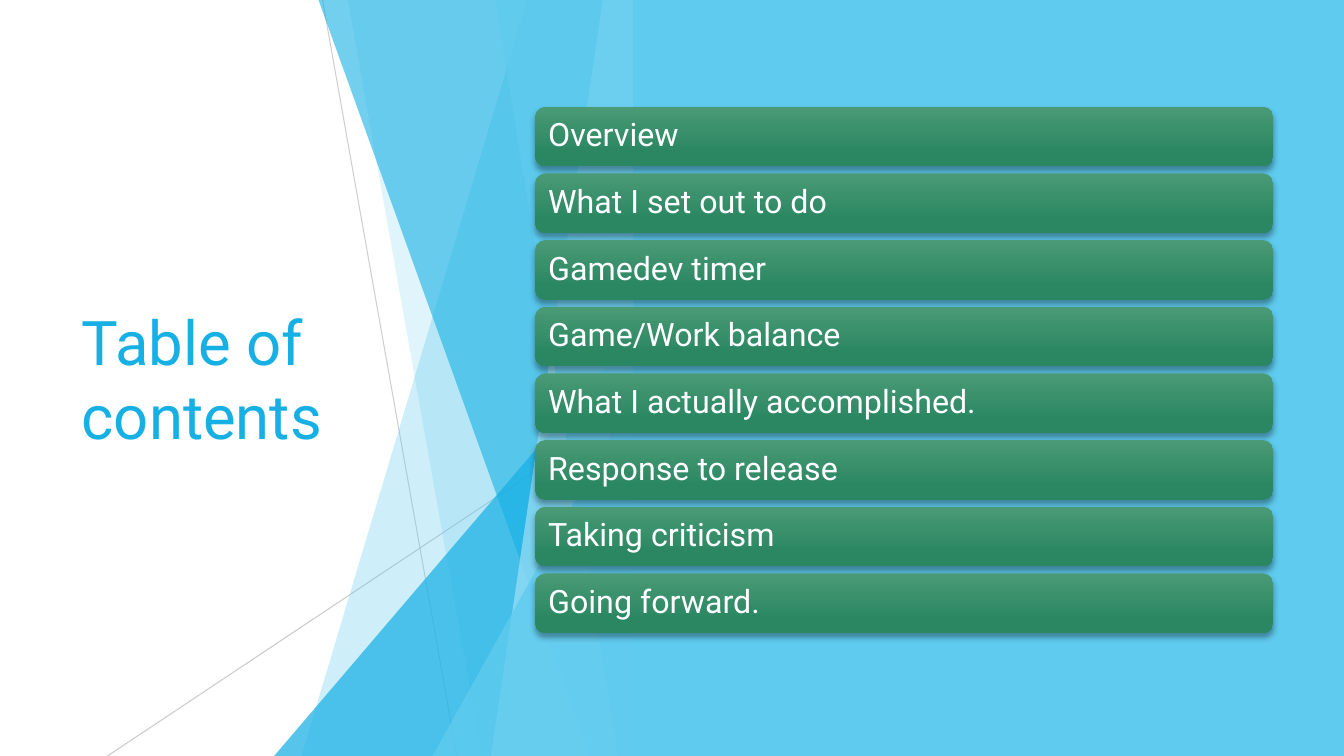
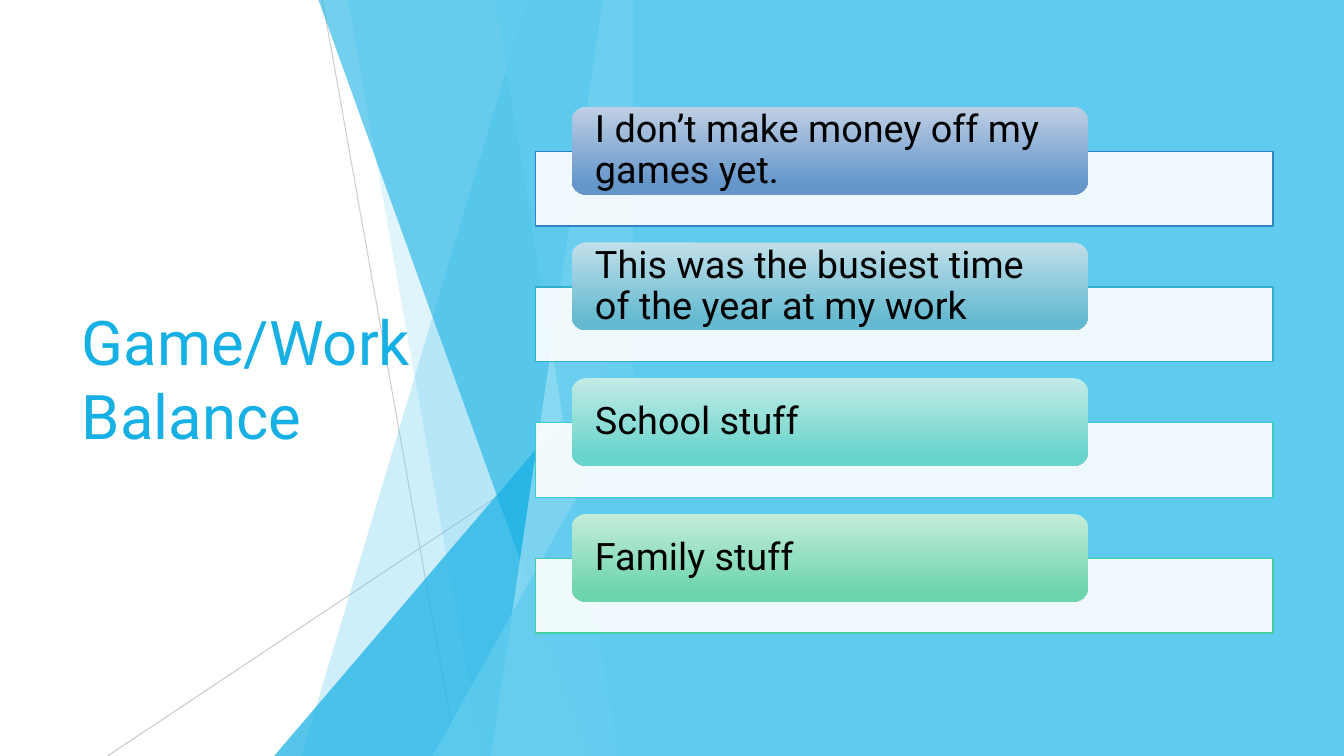
from dataclasses import dataclass

from lxml.etree import SubElement
from pptx import Presentation
from pptx.dml.color import RGBColor
from pptx.enum.shapes import MSO_CONNECTOR as Connector, MSO_SHAPE as Preset
from pptx.enum.text import MSO_ANCHOR as Anchor, MSO_AUTO_SIZE as AutoSize, PP_ALIGN as Align
from pptx.oxml.ns import qn
from pptx.util import Inches, Pt


@dataclass(frozen=True)
class Theme:
    font: str = "Roboto"
    title_size: int = 44
    bar_size: int = 23
    tag_size: int = 27
    accent: str = "17B0E4"
    sky: str = "5FCBEF"
    pale: str = "9FE0F5"
    hairline: str = "BFBFBF"
    white: str = "FFFFFF"
    black: str = "000000"
    bar_gradient: tuple = ("4A9A76", "2A8762", 78)
    tag_colors: tuple = (
        ("2E83C3", "BFCFE5", "6596CA"),
        ("31B0CB", "C1DFE9", "65BAD1"),
        ("39CEC4", "C3EBE7", "68D4CB"),
        ("42D0A2", "C5ECDB", "6DD5AE"),
    )


@dataclass(frozen=True)
class Box:
    left: int
    top: int
    width: int
    height: int

    def point(self, x, y):
        return round(self.left + self.width * x / 100), round(self.top + self.height * y / 100)

    def share(self, x, y, width, height):
        return Box(*self.point(x, y), round(self.width * width / 100), round(self.height * height / 100))

    def rows(self, count, gap):
        height = 100 / (count + (count - 1) * gap)
        return [self.share(0, index * height * (1 + gap), 100, height) for index in range(count)]

    @property
    def frame(self):
        return self.left, self.top, self.width, self.height


THEME = Theme()
PANEL_EDGE = 47.1
TITLE_AREA = (5.33, 20.13, 29.1, 59.73)
LIST_AREA = (39.83, 14.13, 54.9, 69.6)


def set_alpha(properties, percent):
    color = properties.find(qn("a:solidFill"))[0]
    SubElement(color, qn("a:alpha"), val=str(percent * 1000))


def paint(shape, color, alpha=100):
    shape.shadow.inherit = False
    shape.fill.solid()
    shape.fill.fore_color.rgb = RGBColor.from_string(color)
    shape.line.fill.background()
    if alpha < 100:
        set_alpha(shape.element.spPr, alpha)


def paint_gradient(shape, top_color, bottom_color, end):
    shape.shadow.inherit = False
    shape.fill.gradient()
    shape.fill.gradient_angle = 270
    stops = zip(shape.fill.gradient_stops, (top_color, bottom_color), (0, end / 100))
    for stop, color, position in stops:
        stop.color.rgb = RGBColor.from_string(color)
        stop.position = position
    shape.line.fill.background()


def add_drop_shadow(shape):
    effects = shape.element.spPr.find(qn("a:effectLst"))
    shadow = SubElement(effects, qn("a:outerShdw"), blurRad=str(Pt(4)), dist=str(Pt(3)),
                        dir="5400000", rotWithShape="0")
    color = SubElement(shadow, qn("a:srgbClr"), val=THEME.black)
    SubElement(color, qn("a:alpha"), val="35000")


def write(shape, text, size, color, inset):
    frame = shape.text_frame
    frame.word_wrap = True
    frame.auto_size = AutoSize.NONE
    frame.vertical_anchor = Anchor.MIDDLE
    frame.margin_left = frame.margin_right = Inches(inset)
    frame.margin_top = frame.margin_bottom = 0
    frame.text = text
    paragraph = frame.paragraphs[0]
    paragraph.alignment = Align.LEFT
    paragraph.font.name = THEME.font
    paragraph.font.size = Pt(size)
    paragraph.font.color.rgb = RGBColor.from_string(color)
    return paragraph


def add_hairline(shapes, box, start, end, alpha):
    line = shapes.add_connector(Connector.STRAIGHT, *box.point(*start), *box.point(*end))
    line.line.width = Pt(0.75)
    line.line.color.rgb = RGBColor.from_string(THEME.hairline)
    properties = line.element.spPr
    set_alpha(properties.find(qn("a:ln")), alpha)
    SubElement(properties, qn("a:effectLst"))


def add_facet(shapes, box, top_x, bottom_x, color, alpha):
    builder = shapes.build_freeform(*box.point(top_x, 0))
    corners = ((PANEL_EDGE, 0), (PANEL_EDGE, 100), (bottom_x, 100))
    builder.add_line_segments([box.point(*corner) for corner in corners])
    paint(builder.convert_to_shape(), color, alpha)


def add_wedge(shapes, box, left, top, color, alpha):
    area = box.share(left, top, PANEL_EDGE - left, 100 - top)
    wedge = shapes.add_shape(Preset.ISOSCELES_TRIANGLE, *area.frame)
    wedge.adjustments[0] = 1
    paint(wedge, color, alpha)


def add_backdrop(slide, box):
    shapes = slide.shapes.add_group_shape().shapes
    add_hairline(shapes, box, (24, 0), (34, 100), 75)
    add_hairline(shapes, box, (PANEL_EDGE, 53.73), (8, 100), 80)
    pieces = (
        (add_facet, 39.23, 22.43, THEME.sky, 30),
        (add_facet, 25.88, 35.85, THEME.sky, 20),
        (add_wedge, 20.4, 44.4, THEME.accent, 72),
        (add_facet, 23.7, 43.95, THEME.accent, 60),
        (add_facet, 44.85, 36.53, THEME.pale, 70),
        (add_facet, 36.83, 45.98, THEME.sky, 65),
        (add_wedge, 32.18, 52.4, THEME.sky, 80),
    )
    for add_piece, first, second, color, alpha in pieces:
        add_piece(shapes, box, first, second, color, alpha)


def place_title(slide, box, text):
    title = slide.shapes.title
    title.left, title.top, title.width, title.height = box.frame
    write(title, text, THEME.title_size, THEME.accent, 0.1)
    title.element.getparent().append(title.element)


def add_split_slide(presentation, title):
    slide = presentation.slides.add_slide(presentation.slide_layouts[5])
    page = Box(0, 0, presentation.slide_width, presentation.slide_height)
    add_backdrop(slide, page)
    place_title(slide, page.share(*TITLE_AREA), title)
    panel = page.share(PANEL_EDGE, 0, 100 - PANEL_EDGE, 100)
    paint(slide.shapes.add_shape(Preset.RECTANGLE, *panel.frame), THEME.sky)
    return slide, page.share(*LIST_AREA)


def add_bars(slide, box, entries):
    for row, entry in zip(box.rows(len(entries), 0.12), entries):
        bar = slide.shapes.add_shape(Preset.ROUNDED_RECTANGLE, *row.frame)
        paint_gradient(bar, *THEME.bar_gradient)
        add_drop_shadow(bar)
        write(bar, entry, THEME.bar_size, THEME.white, 0.1).line_spacing = 0.9


def add_tagged_plates(slide, box, entries):
    rows = box.rows(len(entries), 0.14)
    for row, entry, (outline, top_color, bottom_color) in zip(rows, entries, THEME.tag_colors):
        plate = slide.shapes.add_shape(Preset.RECTANGLE, *row.share(0, 37.3, 100, 62.7).frame)
        paint(plate, THEME.white, 90)
        plate.line.color.rgb = RGBColor.from_string(outline)
        plate.line.width = Pt(1)
        tag = slide.shapes.add_shape(Preset.ROUNDED_RECTANGLE, *row.share(4.92, 0, 70, 73.7).frame)
        paint_gradient(tag, top_color, bottom_color, 88)
        write(tag, entry, THEME.tag_size, THEME.black, 0.19).line_spacing = 0.9


def main():
    presentation = Presentation()
    presentation.slide_width = Inches(13.33)
    presentation.slide_height = Inches(7.5)

    slide, list_box = add_split_slide(presentation, "Table of contents")
    add_bars(slide, list_box, (
        "Overview",
        "What I set out to do",
        "Gamedev timer",
        "Game/Work balance",
        "What I actually accomplished.",
        "Response to release",
        "Taking criticism",
        "Going forward.",
    ))

    slide, list_box = add_split_slide(presentation, "Game/Work Balance")
    add_tagged_plates(slide, list_box, (
        "I don’t make money off my games yet.",
        "This was the busiest time of the year at my work",
        "School stuff",
        "Family stuff",
    ))

    presentation.save("out.pptx")


if __name__ == "__main__":
    main()
